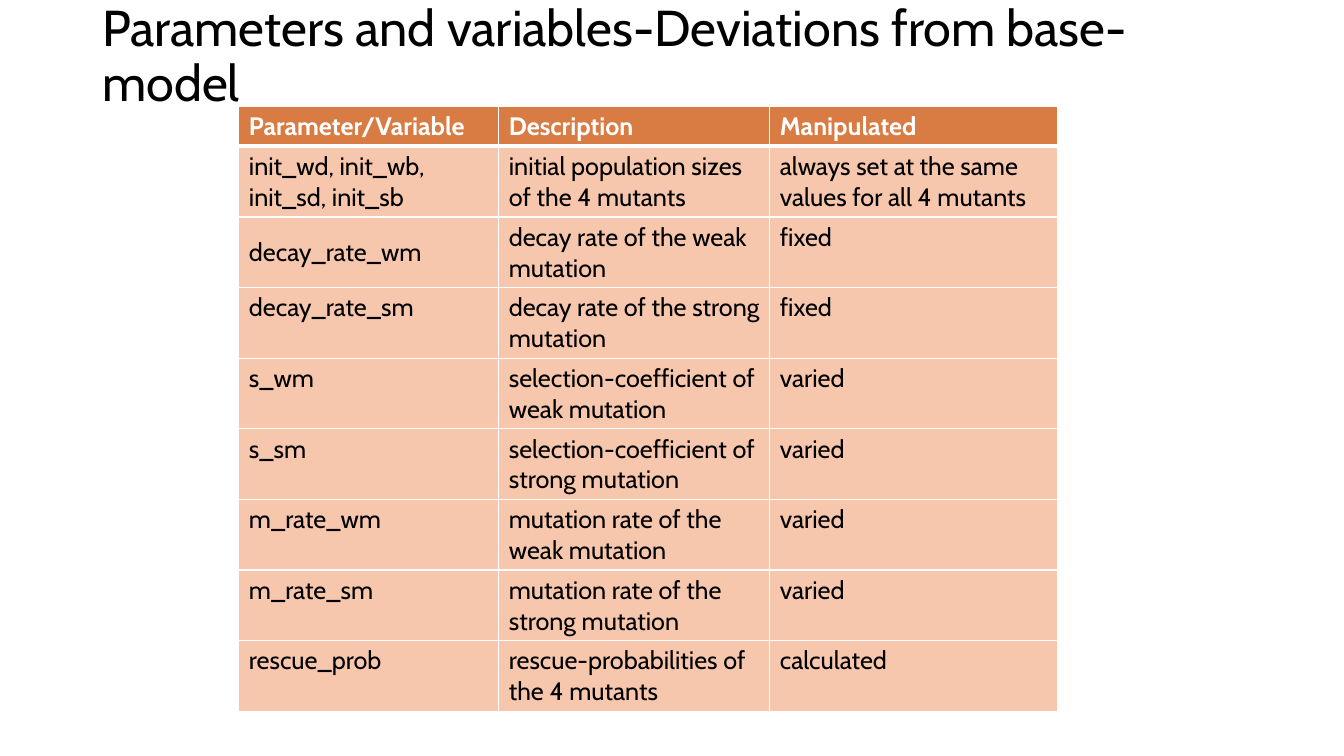
"""Build the slide on parameters and variables that deviate from the base model."""
from dataclasses import dataclass

from lxml import etree
from pptx import Presentation
from pptx.dml.color import RGBColor
from pptx.enum import text
from pptx.oxml import ns
from pptx.util import Cm, Pt


@dataclass(frozen=True)
class Theme:
    font: str = "Cabin"
    ink: str = "000000"
    header_ink: str = "FFFFFF"
    header_fill: str = "D87C44"
    body_fill: str = "F6C6AD"
    rule: str = "FFFFFF"
    title_size: int = 36
    table_size: int = 18
    thin: int = 1
    thick: int = 3


theme = Theme()


def style_text(paragraph, size, color, bold=False):
    for run in paragraph.runs:
        run.font.name = theme.font
        run.font.size = Pt(size)
        run.font.bold = bold
        run.font.color.rgb = RGBColor.from_string(color)


def add_border(cell, side, width):
    properties = cell._tc.get_or_add_tcPr()
    line = etree.SubElement(properties, ns.qn(f"a:ln{side}"), w=str(Pt(width)))
    fill = etree.SubElement(line, ns.qn("a:solidFill"))
    etree.SubElement(fill, ns.qn("a:srgbClr"), val=theme.rule)


deck = Presentation()
deck.slide_width, deck.slide_height = Cm(33.87), Cm(19.05)
slide = deck.slides.add_slide(deck.slide_layouts[6])

title = slide.shapes.add_textbox(Cm(2.33), Cm(0.3), Cm(29.21), Cm(3.68)).text_frame
title.word_wrap = True
title.vertical_anchor = text.MSO_ANCHOR.MIDDLE
title.margin_bottom = Cm(1.5)
title.text = "Parameters and variables-Deviations from base-model"
title.paragraphs[0].line_spacing = 0.9
style_text(title.paragraphs[0], theme.title_size, theme.ink)

parameters = [
    ("Parameter/Variable", "Description", "Manipulated"),
    ("init_wd, init_wb, init_sd, init_sb", "initial population sizes of the 4 mutants",
     "always set at the same values for all 4 mutants"),
    ("decay_rate_wm", "decay rate of the weak mutation", "fixed"),
    ("decay_rate_sm", "decay rate of the strong mutation", "fixed"),
    ("s_wm", "selection-coefficient of weak mutation", "varied"),
    ("s_sm", "selection-coefficient of strong mutation", "varied"),
    ("m_rate_wm", "mutation rate of the weak mutation", "varied"),
    ("m_rate_sm", "mutation rate of the strong mutation", "varied"),
    ("rescue_prob", "rescue-probabilities of the 4 mutants", "calculated"),
]
column_widths = [6.55, 6.83, 7.26]
header_height, body_height = 0.43, 1.65

parameter_table = slide.shapes.add_table(
    len(parameters), len(column_widths), Cm(6.02), Cm(2.67),
    Cm(sum(column_widths)), Cm(header_height + body_height * (len(parameters) - 1))).table
parameter_table.horz_banding = False
for column, width in zip(parameter_table.columns, column_widths):
    column.width = Cm(width)

for row_index, entries in enumerate(parameters):
    is_header = row_index == 0
    parameter_table.rows[row_index].height = Cm(header_height if is_header else body_height)
    border_widths = {
        "L": theme.thin,
        "R": theme.thin,
        "T": theme.thick if row_index == 1 else theme.thin,
        "B": theme.thick if is_header else theme.thin,
    }
    for column_index, entry in enumerate(entries):
        cell = parameter_table.cell(row_index, column_index)
        for side, width in border_widths.items():
            add_border(cell, side, width)
        cell.fill.solid()
        cell.fill.fore_color.rgb = RGBColor.from_string(
            theme.header_fill if is_header else theme.body_fill)
        cell.text_frame.text = entry
        paragraph = cell.text_frame.paragraphs[0]
        if entry == "decay_rate_wm":
            paragraph.line_spacing = 1.5
        style_text(paragraph, theme.table_size,
                   theme.header_ink if is_header else theme.ink, is_header)

deck.save("out.pptx")
